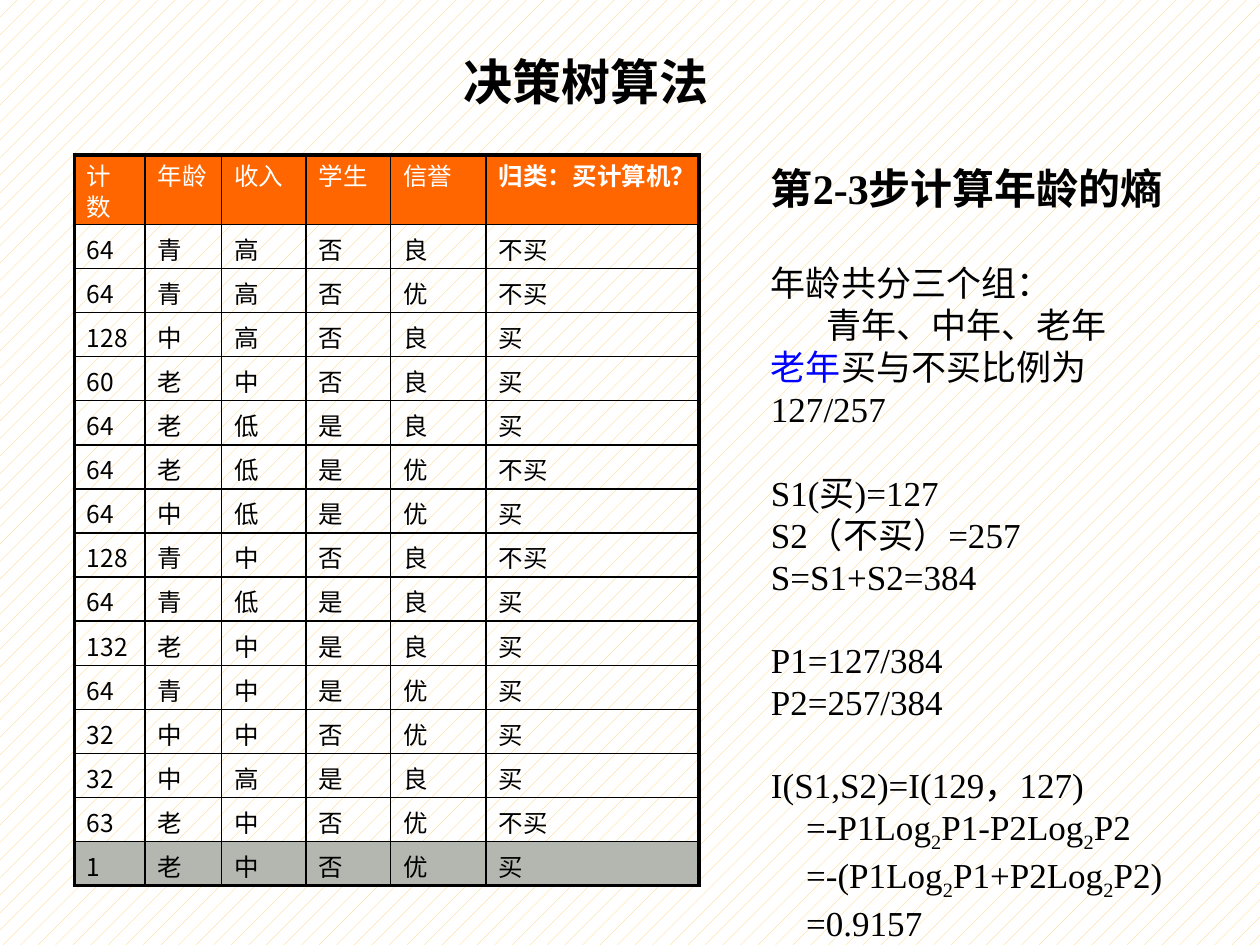
from dataclasses import dataclass

from lxml.etree import SubElement
from pptx import Presentation
from pptx.dml.color import RGBColor
from pptx.enum.dml import MSO_PATTERN
from pptx.enum.text import MSO_AUTO_SIZE
from pptx.oxml.ns import qn
from pptx.util import Inches, Pt

TABLE_FONT = "Noto Sans CJK JP"
TEXT_FONT = "Times New Roman"
BLACK, WHITE, BLUE = "000000", "FFFFFF", "0000FF"
ORANGE, GREY, CREAM = "FF6600", "B4B6B0", "FFCC66"

COLUMN_WIDTHS = [0.56, 0.61, 0.67, 0.67, 0.76, 1.69]
HEADINGS = ["计数", "年龄", "收入", "学生", "信誉", "归类：买计算机？"]
CUSTOMERS = """64 青 高 否 良 不买
64 青 高 否 优 不买
128 中 高 否 良 买
60 老 中 否 良 买
64 老 低 是 良 买
64 老 低 是 优 不买
64 中 低 是 优 买
128 青 中 否 良 不买
64 青 低 是 良 买
132 老 中 是 良 买
64 青 中 是 优 买
32 中 中 否 优 买
32 中 高 是 良 买
63 老 中 否 优 不买
1 老 中 否 优 买"""


@dataclass
class Piece:
    text: str
    color: str = BLACK
    subscript: bool = False


@dataclass
class Line:
    pieces: list[Piece]
    indent: float = 0
    gap: float = 0


@dataclass
class Block:
    left: float
    top: float
    width: float
    height: float
    size: float
    lines: list[Line]
    bold: bool = False
    wrap: bool = True


def plain(text: str, indent: float = 0, gap: float = 0) -> Line:
    return Line([Piece(text)], indent, gap)


def formula(*parts: str) -> Line:
    pieces = [Piece(parts[0])]
    for part in parts[1:]:
        pieces += [Piece("2", subscript=True), Piece(part)]
    return Line(pieces, indent=0.28)


BLOCKS = [
    Block(6.02, 1.24, 3.31, 0.5, 24, [plain("第2-3步计算年龄的熵")], bold=True),
    Block(6.02, 2.03, 3.61, 5.1, 20, [
        plain("年龄共分三个组："),
        plain("青年、中年、老年", indent=0.44),
        Line([Piece("老年", BLUE), Piece("买与不买比例为127/257")]),
        plain("S1(买)=127", gap=23.5),
        plain("S2（不买）=257"),
        plain("S=S1+S2=384"),
        plain("P1=127/384", gap=23.5),
        plain("P2=257/384"),
        plain("I(S1,S2)=I(129，127)", gap=23.5),
        formula("=-P1Log", "P1-P2Log", "P2"),
        formula("=-(P1Log", "P1+P2Log", "P2)"),
        formula("=0.9157"),
    ]),
    Block(3.58, 0.36, 2.15, 0.57, 28, [plain("决策树算法")], bold=True, wrap=False),
]


def rgb(color: str) -> RGBColor:
    return RGBColor.from_string(color)


def style_font(font, name: str, size: float, color: str, bold: bool) -> None:
    font.name, font.size, font.bold = name, Pt(size), bold
    font.color.rgb = rgb(color)


def draw_block(slide, block: Block) -> None:
    box = slide.shapes.add_textbox(
        Inches(block.left), Inches(block.top), Inches(block.width), Inches(block.height))
    frame = box.text_frame
    frame.word_wrap = block.wrap
    frame.auto_size = MSO_AUTO_SIZE.SHAPE_TO_FIT_TEXT
    for index, line in enumerate(block.lines):
        paragraph = frame.add_paragraph() if index else frame.paragraphs[0]
        if line.indent:
            paragraph._p.get_or_add_pPr().set("marL", str(Inches(line.indent)))
        if line.gap:
            paragraph.space_before = Pt(line.gap)
        for piece in line.pieces:
            run = paragraph.add_run()
            run.text = piece.text
            style_font(run.font, TEXT_FONT, block.size, piece.color, block.bold)
            if piece.subscript:
                run._r.get_or_add_rPr().set("baseline", "-25000")


def draw_borders(cell, outer: dict[str, bool]) -> None:
    properties = cell._tc.get_or_add_tcPr()
    for side, is_outer in outer.items():
        border = SubElement(properties, qn(f"a:ln{side}"), w=str(Pt(2.25 if is_outer else 1)))
        fill = SubElement(border, qn("a:solidFill"))
        SubElement(fill, qn("a:srgbClr"), val=BLACK)


def draw_table(slide, rows: list[list[str]]) -> None:
    last_row, last_column = len(rows) - 1, len(HEADINGS) - 1
    table = slide.shapes.add_table(
        len(rows), len(HEADINGS), Inches(0.59), Inches(1.23), Inches(4.96), Inches(5.77)).table
    table.first_row = table.horz_banding = False
    for column, width in zip(table.columns, COLUMN_WIDTHS):
        column.width = Inches(width)
    for r, values in enumerate(rows):
        table.rows[r].height = Inches(0.35 if r else 0.55)
        for c, value in enumerate(values):
            cell = table.cell(r, c)
            cell.margin_top, cell.margin_bottom = Inches(0.05), 0
            draw_borders(cell, {"L": c == 0, "R": c == last_column, "T": r == 0, "B": r == last_row})
            if r in (0, last_row):
                cell.fill.solid()
                cell.fill.fore_color.rgb = rgb(GREY if r else ORANGE)
            else:
                cell.fill.background()
            cell.text_frame.text = value
            paragraph = cell.text_frame.paragraphs[0]
            if r == 0:
                paragraph.line_spacing = 0.86
            run = paragraph.runs[0]
            style_font(run.font, TABLE_FONT, 14, BLACK if r else WHITE, r == 0 and c == last_column)
            SubElement(run._r.get_or_add_rPr(), qn("a:ea"), typeface=TABLE_FONT)


def main() -> None:
    """Build the decision tree slide with its training table and entropy steps."""
    presentation = Presentation()
    presentation.slide_width, presentation.slide_height = Inches(10), Inches(7.5)
    slide = presentation.slides.add_slide(presentation.slide_layouts[6])
    background = slide.background.fill
    background.patterned()
    background.pattern = MSO_PATTERN.PERCENT_5
    background.fore_color.rgb, background.back_color.rgb = rgb(CREAM), rgb(WHITE)
    draw_table(slide, [HEADINGS] + [row.split() for row in CUSTOMERS.splitlines()])
    for block in BLOCKS:
        draw_block(slide, block)
    presentation.save("out.pptx")


if __name__ == "__main__":
    main()
